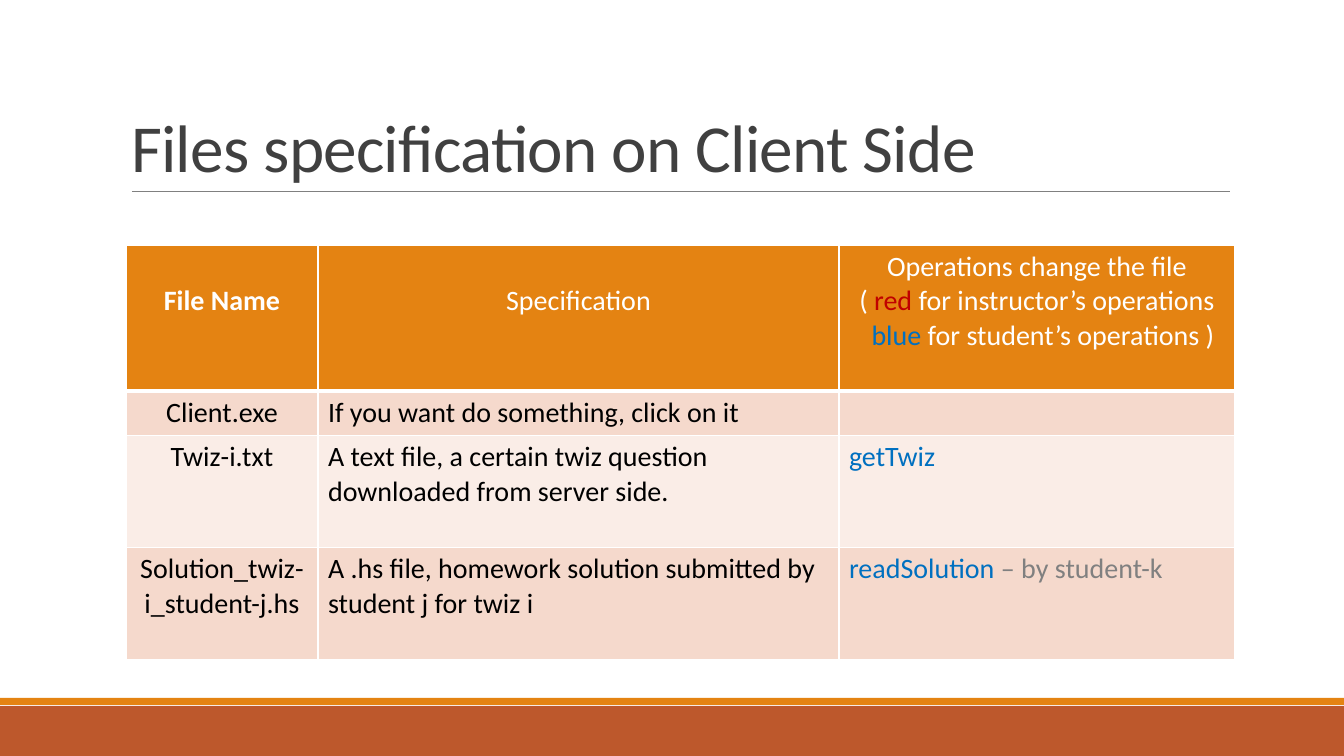
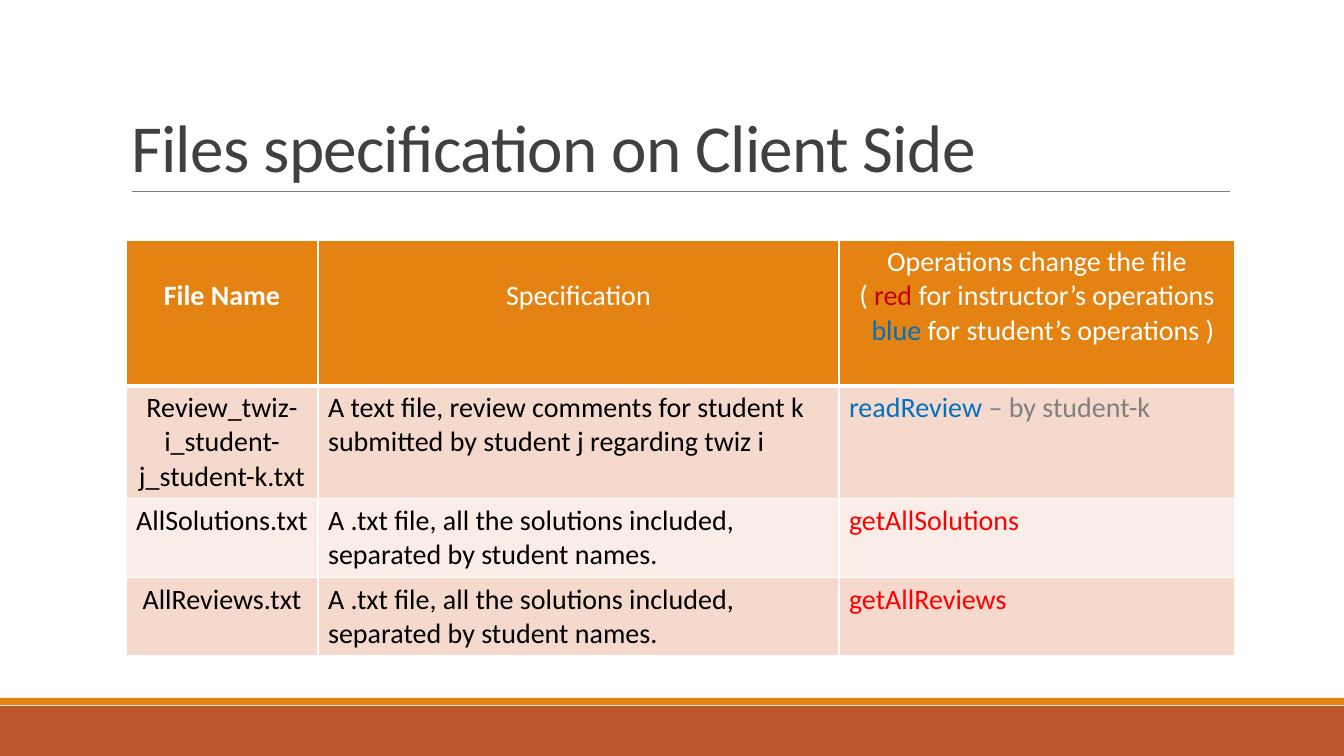
from lxml import etree
from pptx import Presentation
from pptx.dml.color import RGBColor
from pptx.enum.shapes import MSO_CONNECTOR, MSO_SHAPE
from pptx.enum.text import MSO_ANCHOR, MSO_AUTO_SIZE, PP_ALIGN
from pptx.oxml.ns import qn
from pptx.util import Emu, Pt

RECT = MSO_SHAPE.RECTANGLE
STRAIGHT = MSO_CONNECTOR.STRAIGHT
CENTER, LEFT = PP_ALIGN.CENTER, PP_ALIGN.LEFT
FONT = "Calibri"
C = {
    "orange": "E48312", "rust": "BD582C", "rule": "808080",
    "title": "404040", "white": "FFFFFF", "text": "000000",
    "blue": "0070C0", "dark_red": "C00000", "red": "FF0000",
    "gray": "808080", "band1": "F5D9CC", "band2": "FAEDE7",
}
SLIDE_W, SLIDE_H = 1344, 756
LINE_H, CELL_PAD = 34, 5          # one table text line, cell inset above and below
TABLE_X = 126
COL_WIDTHS = (192, 521, 396)
HEADER_LINES = 4

TITLE = "Files specification on Client Side"
# A cell is a list of paragraphs; a paragraph is a list of (text, colour) runs
HEADER = (
    [[("File Name", "white")]],
    [[("Specification", "white")]],
    [[("Operations change the file", "white")],
     [("( ", "white"), ("red ", "dark_red"),
      ("for instructor’s operations", "white")],
     [("blue", "blue"), (" for student’s operations )", "white")]],
)
# Per slide: table top, then rows of (text lines, file, specification, operation runs)
SLIDES = (
    (245, (
        (1, "Client.exe", "If you want do something, click on it", []),
        (3, "Twiz-i.txt",
         "A text file, a certain twiz question downloaded from server side.",
         [("getTwiz", "blue")]),
        (3, "Solution_twiz-i_student-j.hs",
         "A .hs file, homework solution submitted by student j for twiz i",
         [("readSolution ", "blue"), ("– by student-k", "gray")]),
    )),
    (240, (
        (3, "Review_twiz-i_student-j_student-k.txt",
         "A text file, review comments for student k submitted by student j "
         "regarding twiz i",
         [("readReview ", "blue"), ("– by student-k", "gray")]),
        (2, "AllSolutions.txt",
         "A .txt file, all the solutions included, separated by student names.",
         [("getAllSolutions", "red")]),
        (2, "AllReviews.txt",
         "A .txt file, all the solutions included, separated by student names.",
         [("getAllReviews", "red")]),
    )),
)


def px(n):
    return Emu(round(n * SLIDE_SCALE))


SLIDE_SCALE = 914400 / 100.8


def rgb(name):
    return RGBColor.from_string(C[name])


def style_run(r, size, color, bold=False):
    r.font.name = FONT
    r.font.size = Pt(size)
    r.font.bold = bold
    r.font.color.rgb = rgb(color)


# Shared frame: bottom bands, title and its rule
def add_band(slide, top, height, color):
    sp = slide.shapes.add_shape(RECT, 0, px(top), px(SLIDE_W), px(height))
    sp.shadow.inherit = False
    sp.fill.solid()
    sp.fill.fore_color.rgb = rgb(color)
    sp.line.fill.background()


def add_rule(slide, x1, x2, y):
    line = slide.shapes.add_connector(STRAIGHT, px(x1), px(y), px(x2), px(y))
    line.line.color.rgb = rgb("rule")
    line.line.width = Pt(0.5)
    etree.SubElement(line._element.spPr, qn("a:effectLst"))


def set_title(slide, text):
    sp = slide.shapes.title
    sp.left, sp.top, sp.width, sp.height = px(121), px(31), px(1109), px(160)
    tf = sp.text_frame
    tf.text = text
    tf.word_wrap = True
    tf.auto_size = MSO_AUTO_SIZE.NONE
    tf.vertical_anchor = MSO_ANCHOR.BOTTOM
    p = tf.paragraphs[0]
    p.alignment = LEFT
    p.line_spacing = 0.85
    r = p.runs[0]
    style_run(r, 48, "title")
    r.font._element.set("spc", "-50")


def add_frame(slide):
    add_band(slide, 706, 50, "rust")
    add_band(slide, 698, 7, "orange")
    add_rule(slide, 132, 1230, 191)
    set_title(slide, TITLE)


# Table
def set_borders(cell, top, bottom):
    tcPr = cell._tc.get_or_add_tcPr()
    for side, width in (("L", 1), ("R", 1), ("T", top), ("B", bottom)):
        ln = etree.SubElement(tcPr, qn(f"a:ln{side}"), w=str(Pt(width)))
        fill = etree.SubElement(ln, qn("a:solidFill"))
        etree.SubElement(fill, qn("a:srgbClr"), val=C["white"])


def fill_cell(cell, paragraphs, fill, align, bold=False):
    cell.fill.solid()
    cell.fill.fore_color.rgb = rgb(fill)
    cell.margin_top = cell.margin_bottom = px(CELL_PAD)
    tf = cell.text_frame
    for i, runs in enumerate(paragraphs):
        p = tf.add_paragraph() if i else tf.paragraphs[0]
        p.alignment = align
        for text, color in runs:
            r = p.add_run()
            r.text = text
            style_run(r, 20, color, bold)


def fill_header(table):
    for col, paragraphs in enumerate(HEADER):
        cell = table.cell(0, col)
        fill_cell(cell, paragraphs, "orange", CENTER, bold=col == 0)
        if len(paragraphs) == 1:
            cell.margin_top = px(CELL_PAD + LINE_H)
    # The last line sits slightly right of centre, after the bracket above
    pPr = table.cell(0, 2).text_frame.paragraphs[-1]._p.get_or_add_pPr()
    pPr.set("marL", str(px(12)))


def add_file_table(slide, top, rows):
    line_counts = [HEADER_LINES] + [row[0] for row in rows]
    heights = [LINE_H * n + 2 * CELL_PAD for n in line_counts]
    table = slide.shapes.add_table(
        len(heights), len(COL_WIDTHS), px(TABLE_X), px(top),
        px(sum(COL_WIDTHS)), px(sum(heights))).table
    for column, width in zip(table.columns, COL_WIDTHS):
        column.width = px(width)
    for i, (row, height) in enumerate(zip(table.rows, heights)):
        row.height = px(height)
        for cell in row.cells:
            set_borders(cell, top=3 if i == 1 else 1, bottom=3 if i == 0 else 1)
    fill_header(table)
    for i, (_, name, specification, operation) in enumerate(rows, 1):
        fill = "band1" if i % 2 else "band2"
        fill_cell(table.cell(i, 0), [[(name, "text")]], fill, CENTER)
        fill_cell(table.cell(i, 1), [[(specification, "text")]], fill, LEFT)
        fill_cell(table.cell(i, 2), [operation], fill, LEFT)


def main():
    prs = Presentation()
    prs.slide_width, prs.slide_height = px(SLIDE_W), px(SLIDE_H)
    title_only = prs.slide_layouts[5]
    for top, rows in SLIDES:
        slide = prs.slides.add_slide(title_only)
        add_frame(slide)
        add_file_table(slide, top, rows)
    prs.save("out.pptx")


if __name__ == "__main__":
    main()
